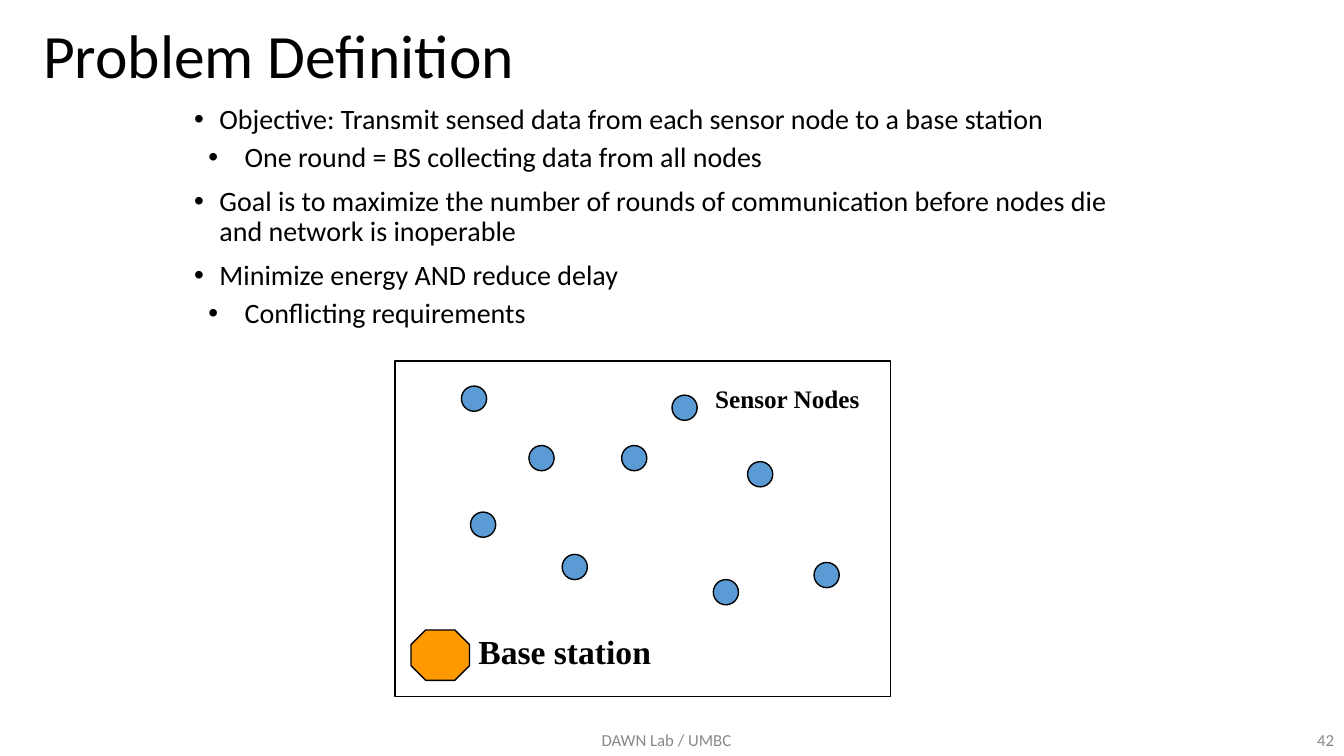
from lxml import etree
from pptx import Presentation
from pptx.dml.color import RGBColor
from pptx.enum import shapes, text
from pptx.oxml.ns import qn
from pptx.util import Inches, Pt

BLACK = RGBColor(0x00, 0x00, 0x00)
GREY = RGBColor(0x89, 0x89, 0x89)
NODE_BLUE = RGBColor(0x5B, 0x9B, 0xD5)
STATION_ORANGE = RGBColor(0xFF, 0x99, 0x00)
LEFT, CENTER, RIGHT = text.PP_ALIGN.LEFT, text.PP_ALIGN.CENTER, text.PP_ALIGN.RIGHT
TOP, MIDDLE = text.MSO_ANCHOR.TOP, text.MSO_ANCHOR.MIDDLE

deck = Presentation()
deck.slide_width, deck.slide_height = Inches(13.34), Inches(7.5)
page = deck.slides.add_slide(deck.slide_layouts[6])


def add_label(words, place, size, font="Calibri", color=BLACK, align=LEFT,
              anchor=MIDDLE, bold=False, wrap=True):
    box = page.shapes.add_textbox(*map(Inches, place))
    frame = box.text_frame
    frame.word_wrap = wrap
    frame.vertical_anchor = anchor
    para = frame.paragraphs[0]
    para.text = words
    para.alignment = align
    para.font.name, para.font.size, para.font.bold = font, Pt(size), bold
    para.font.color.rgb = color
    return box


def add_outlined(kind, place, fill=None):
    shape = page.shapes.add_shape(kind, *map(Inches, place))
    shape.shadow.inherit = False
    if fill is None:
        shape.fill.background()
    else:
        shape.fill.solid()
        shape.fill.fore_color.rgb = fill
    shape.line.color.rgb = BLACK
    shape.line.width = Pt(1)
    return shape


# Title
title = add_label("Problem Definition", (0.33, 0.17, 12.67, 0.83), 44)
title.text_frame.paragraphs[0].line_spacing = 0.9

# Bulleted objectives: (level, words)
objectives = [
    (0, "Objective: Transmit sensed data from each sensor node to a base station"),
    (1, "One round = BS collecting data from all nodes"),
    (0, "Goal is to maximize the number of rounds of communication before nodes die "
        "and network is inoperable"),
    (0, "Minimize energy AND reduce delay"),
    (1, "Conflicting requirements"),
]
margins = [(0.25, -0.25), (0.5, -0.36)]
space_before = [10, 5]
body = page.shapes.add_textbox(Inches(1.83), Inches(1), Inches(9.67), Inches(2.42)).text_frame
body.word_wrap = True
for number, (level, words) in enumerate(objectives):
    para = body.add_paragraph() if number else body.paragraphs[0]
    para.text = words
    para.level = level
    para.line_spacing = 0.9
    if number:
        para.space_before = Pt(space_before[level])
    properties = para._p.get_or_add_pPr()
    margin, indent = margins[level]
    properties.set("marL", str(Inches(margin)))
    properties.set("indent", str(Inches(indent)))
    etree.SubElement(properties, qn("a:buFont")).set("typeface", "Arial")
    etree.SubElement(properties, qn("a:buChar")).set("char", "•")
    para.font.name, para.font.size = "Calibri", Pt(20)
    para.font.color.rgb = BLACK

# Footer and page number
add_label("DAWN Lab / UMBC", (3.67, 7.17, 5.89, 0.33), 12, color=GREY, align=CENTER)
add_label("42", (10.56, 7.17, 2.78, 0.33), 12, color=GREY, align=RIGHT)

# Sensor field with its nodes
add_outlined(shapes.MSO_SHAPE.RECTANGLE, (3.92, 3.58, 4.92, 3.33))
nodes = [(5.58, 5.5), (5.25, 4.42), (4.67, 5.08), (6.17, 4.42), (7.42, 4.58),
         (4.58, 3.83), (7.08, 5.75), (6.67, 3.92), (8.08, 5.58)]
for left, top in nodes:
    add_outlined(shapes.MSO_SHAPE.OVAL, (left, top, 0.25, 0.25), NODE_BLUE)

# Base station
station = add_outlined(shapes.MSO_SHAPE.OCTAGON, (4.08, 6.25, 0.58, 0.5), STATION_ORANGE)
station.adjustments[0] = 0.29

# Field labels
serif = dict(font="Times New Roman", anchor=TOP, bold=True, wrap=False)
add_label("Sensor Nodes", (7, 3.75, 1.64, 0.4), 18, **serif)
add_label("Base station", (4.65, 6.21, 1.91, 0.5), 24, **serif)

deck.save("out.pptx")
